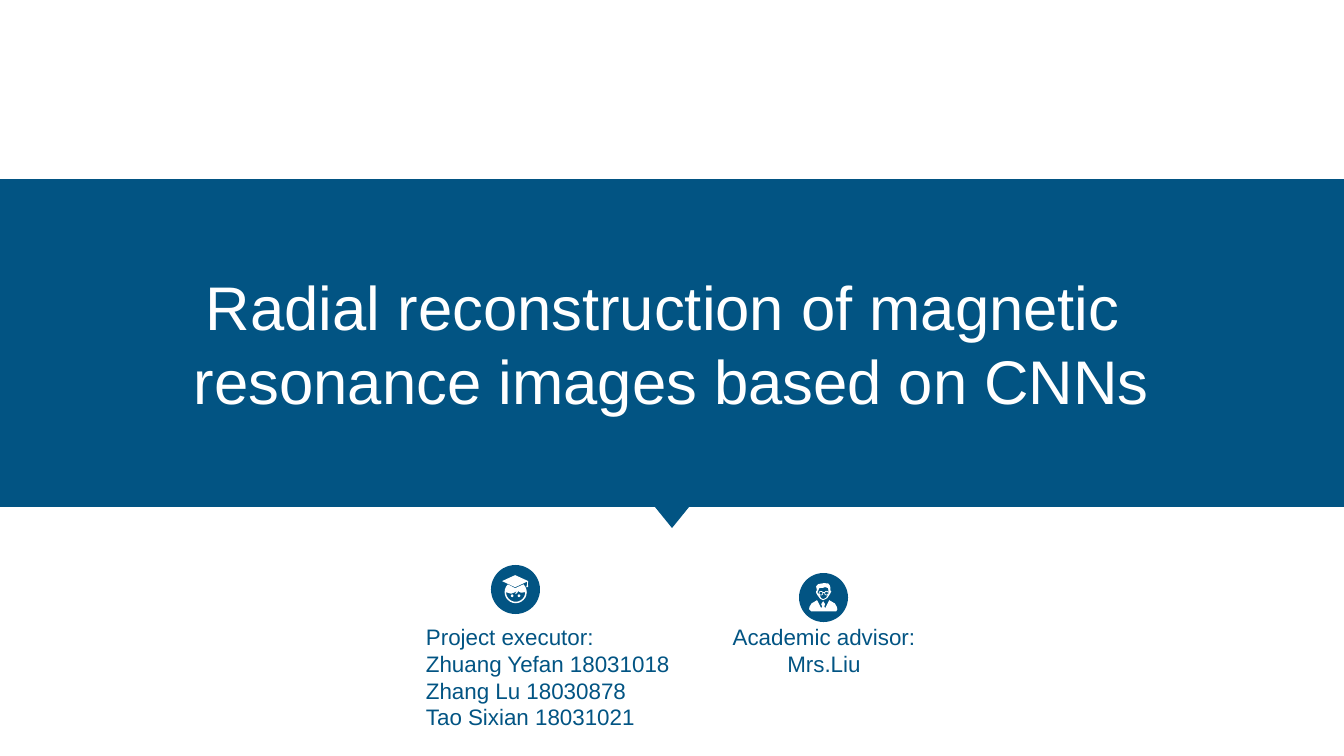
"""Build the title slide of the magnetic resonance reconstruction project."""
from math import cos, radians, sin

from pptx import Presentation
from pptx import util as u
from pptx.dml.color import RGBColor
from pptx.enum import shapes, text

PX = u.Inches(1) / 100.8
ICON_UNIT = PX / 10
ICON_SIZE = 49
FONT = "Arial"
BLUE, WHITE = "025483", "FFFFFF"
SLIDE_WIDTH, SLIDE_HEIGHT = 1344, 756
BAND_TOP, BAND_HEIGHT = 179, 328
POINTER_WIDTH, POINTER_HEIGHT = 34, 21

TITLE = ["Radial reconstruction of magnetic ", "resonance images based on CNNs"]
PEOPLE = [
    (["Project executor:", "Zhuang Yefan 18031018", "Zhang Lu 18030878", "Tao Sixian 18031021"],
     (416, 618, 266, 119), text.PP_ALIGN.LEFT),
    (["Academic advisor:", "Mrs.Liu"], (722, 618, 204, 65), text.PP_ALIGN.CENTER),
]


def arc(center_x, center_y, radius, start=0, end=360):
    """Return points along a circular arc, in tenths of a px."""
    return [(round(center_x + radius * cos(radians(angle))),
             round(center_y + radius * sin(radians(angle))))
            for angle in range(start, end + 1, 15)]


CAP = [(242, 101), (373, 161), (369, 190), (373, 222), (353, 222), (362, 190),
       (363, 166), (242, 222), (111, 161)]
STUDENT_HEAD = arc(247, 272, 111, -45, 225) + [(242, 232)]
STUDENT_FACE = arc(247, 272, 96, 0, 180) + [
    (200, 288), (242, 272), (262, 252), (242, 292), (262, 282), (272, 262), (300, 278)]
SUIT = [(302, 272), (262, 353), (252, 333), (262, 312), (242, 282), (222, 312),
        (232, 333), (222, 353), (181, 272), (125, 305), (105, 340), (101, 363), (121, 383),
        (373, 383), (383, 363), (379, 340), (359, 305)]
ADVISOR_HEAD = [(323, 181), (316, 181), (312, 130), (295, 106), (252, 101), (192, 111),
                (171, 135), (181, 176), (171, 181), (173, 202), (185, 222), (212, 258),
                (242, 272), (282, 252), (302, 222), (315, 202)]
ADVISOR_FACE = [(302, 202), (292, 212), (272, 248), (242, 262), (222, 252), (202, 212),
                (192, 202), (184, 192), (192, 181), (202, 151), (240, 148), (262, 141),
                (292, 151), (295, 191)]
GLASSES = [arc(x, 202, radius) for x in (220, 276) for radius in (22, 15)]
BRIDGE = [(242, 192), (254, 192), (254, 200), (242, 200)]

ICONS = [
    ((491, 565), [[CAP], [STUDENT_HEAD, STUDENT_FACE], [arc(212, 308, 13)], [arc(280, 308, 13)]]),
    ((799, 573), [[SUIT], [ADVISOR_HEAD, ADVISOR_FACE], GLASSES + [BRIDGE]]),
]


def px(*lengths):
    """Convert px lengths to EMU."""
    return [round(length * PX) for length in lengths]


def paint(shape, color):
    """Give a shape a plain fill without line or shadow."""
    shape.shadow.inherit = False
    shape.fill.solid()
    shape.fill.fore_color.rgb = RGBColor.from_string(color)
    shape.line.fill.background()


def write(shape, lines, size, color, alignment):
    """Fill a shape with one paragraph per line."""
    shape.text_frame.text = "\n".join(lines)
    for paragraph in shape.text_frame.paragraphs:
        paragraph.alignment = alignment
        font = paragraph.runs[0].font
        font.name = FONT
        font.size = u.Pt(size)
        font.color.rgb = RGBColor.from_string(color)


def draw_icon(slide, left, top, figures):
    """Draw a blue disc with white figures as one group."""
    group = slide.shapes.add_group_shape()
    disc = group.shapes.add_shape(shapes.MSO_SHAPE.OVAL, *px(left, top, ICON_SIZE, ICON_SIZE))
    paint(disc, BLUE)
    for contours in figures:
        builder = group.shapes.build_freeform(*contours[0][0], scale=ICON_UNIT)
        for index, contour in enumerate(contours):
            if index:
                builder.move_to(*contour[0])
            builder.add_line_segments(contour[1:], close=True)
        paint(builder.convert_to_shape(*px(left, top)), WHITE)


def main():
    """Create and save the presentation."""
    presentation = Presentation()
    presentation.slide_width, presentation.slide_height = px(SLIDE_WIDTH, SLIDE_HEIGHT)
    slide = presentation.slides.add_slide(presentation.slide_layouts[6])

    band = slide.shapes.add_shape(
        shapes.MSO_SHAPE.RECTANGLE, *px(0, BAND_TOP, SLIDE_WIDTH, BAND_HEIGHT))
    paint(band, BLUE)
    band.text_frame.vertical_anchor = text.MSO_ANCHOR.MIDDLE
    write(band, TITLE, 44, WHITE, text.PP_ALIGN.CENTER)

    pointer = slide.shapes.add_shape(
        shapes.MSO_SHAPE.ISOSCELES_TRIANGLE,
        *px((SLIDE_WIDTH - POINTER_WIDTH) / 2, BAND_TOP + BAND_HEIGHT,
            POINTER_WIDTH, POINTER_HEIGHT))
    paint(pointer, BLUE)
    pointer.rotation = 180

    for lines, box, alignment in PEOPLE:
        label = slide.shapes.add_textbox(*px(*box))
        label.text_frame.word_wrap = False
        label.text_frame.auto_size = text.MSO_AUTO_SIZE.SHAPE_TO_FIT_TEXT
        write(label, lines, 16, BLUE, alignment)

    for (left, top), figures in ICONS:
        draw_icon(slide, left, top, figures)

    presentation.save("out.pptx")


if __name__ == "__main__":
    main()
